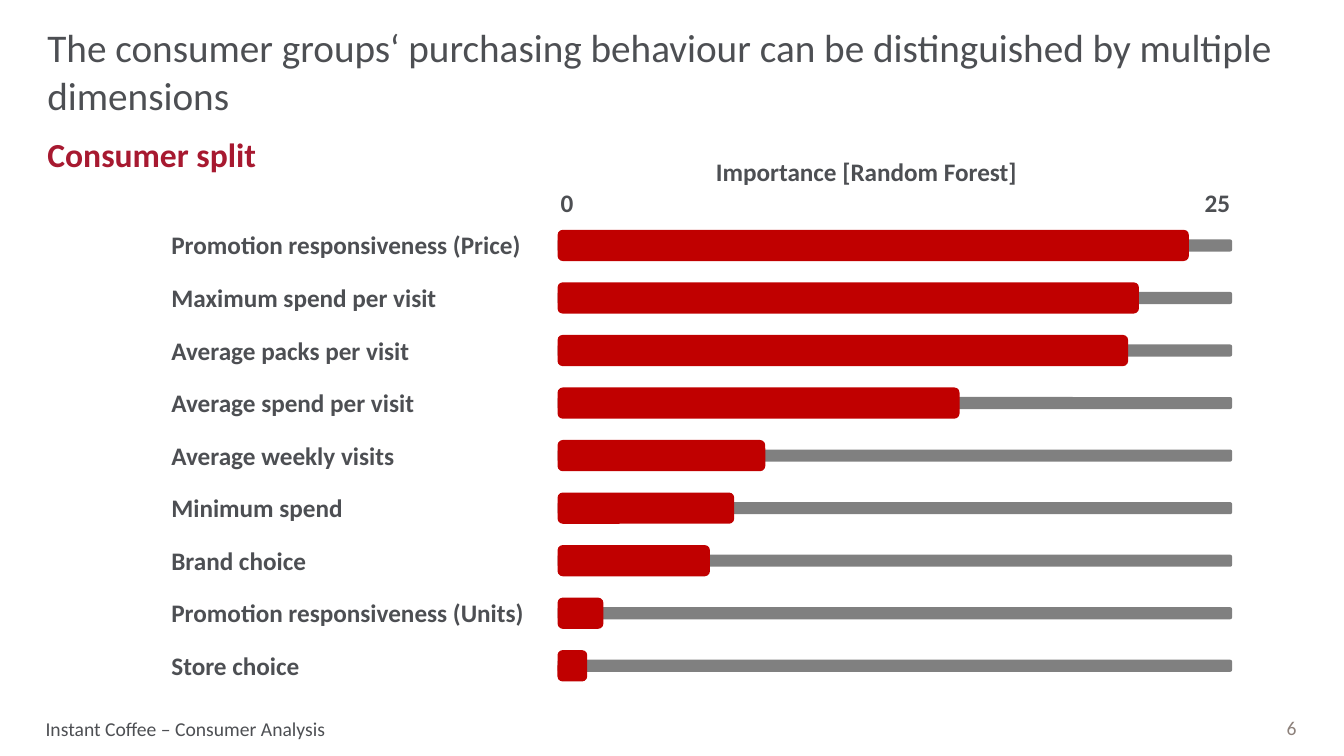
from pptx import Presentation
from pptx.dml.color import RGBColor
from pptx.enum.shapes import MSO_SHAPE as Shape
from pptx.enum.text import MSO_ANCHOR as Anchor, PP_ALIGN as Align
from pptx.util import Inches, Pt

FONT = "Calibri"
TEXT, ACCENT, PAGE = "4D4F53", "A71930", "8D817B"
TRACK, BAR = "808080", "C00000"
SCALE_MAX = 25
LABEL_INSETS = (0.27, 0.13)
IMPORTANCE = [
    ("Promotion responsiveness (Price)", 23.4),
    ("Maximum spend per visit", 21.55),
    ("Average packs per visit", 21.15),
    ("Average spend per visit", 14.9),
    ("Average weekly visits", 7.7),
    ("Minimum spend", 6.55),
    ("Brand choice", 5.65),
    ("Promotion responsiveness (Units)", 1.7),
    ("Store choice", 1.1),
]


def color(hex_string):
    return RGBColor.from_string(hex_string)


def add_text(slide, box, text, size, fill=TEXT, bold=False, align=Align.LEFT,
             anchor=Anchor.TOP, insets=(0, 0)):
    shape = slide.shapes.add_textbox(*map(Inches, box))
    frame = shape.text_frame
    frame.word_wrap = True
    frame.vertical_anchor = anchor
    frame.margin_left = frame.margin_right = Inches(insets[0])
    frame.margin_top = frame.margin_bottom = Inches(insets[1])
    paragraph = frame.paragraphs[0]
    paragraph.alignment = align
    run = paragraph.add_run()
    run.text = text
    run.font.name = FONT
    run.font.size = Pt(size)
    run.font.bold = bold
    run.font.color.rgb = color(fill)


def add_label(slide, box, text, align=Align.LEFT):
    add_text(slide, box, text, 18, bold=True, align=align, insets=LABEL_INSETS)


def add_bar(slide, box, fill):
    shape = slide.shapes.add_shape(Shape.ROUNDED_RECTANGLE, *map(Inches, box))
    shape.shadow.inherit = False
    shape.fill.solid()
    shape.fill.fore_color.rgb = color(fill)
    shape.line.fill.background()


def add_heading(slide, left, top, width):
    add_text(slide, (left, top, width, 0.96),
             "The consumer groups‘ purchasing behaviour can be distinguished "
             "by multiple dimensions", 28, anchor=Anchor.BOTTOM)
    add_text(slide, (left, top + 1.12, width, 0.37), "Consumer split", 24,
             ACCENT, bold=True)


def add_scale(slide, left, top, width):
    """Axis title with the two ends of the scale below it."""
    add_label(slide, (left + 1.3, top, 4.1, 0.57), "Importance [Random Forest]")
    add_label(slide, (left - 0.24, top + 0.31, 1.21, 0.57), "0")
    add_label(slide, (left + width - 0.96, top + 0.31, 1.21, 0.57),
              str(SCALE_MAX), Align.RIGHT)


def add_importance_rows(slide, left, top, width, height):
    label_width, bar_height, track_height = 4.1, 0.31, 0.12
    track_left, track_width = left + label_width, width - label_width
    pitch = (height - bar_height) / (len(IMPORTANCE) - 1)
    for index, (name, value) in enumerate(IMPORTANCE):
        row_top = top + index * pitch
        # Grey track, red bar, then the dimension's name
        add_bar(slide, (track_left, row_top + (bar_height - track_height) / 2,
                        track_width, track_height), TRACK)
        add_bar(slide, (track_left, row_top,
                        track_width * value / SCALE_MAX, bar_height), BAR)
        add_label(slide, (left, row_top - 0.13, label_width, 0.57), name)


def add_footer(slide, top):
    add_text(slide, (-0.4, top, 4.48, 0.41),
             "Instant Coffee – Consumer Analysis", 14, align=Align.CENTER,
             anchor=Anchor.MIDDLE, insets=(0.1, 0.05))
    add_text(slide, (12.35, top + 0.09, 0.51, 0.23), "6", 14, PAGE,
             align=Align.RIGHT, anchor=Anchor.BOTTOM)


def main():
    presentation = Presentation()
    presentation.slide_width = Inches(13.33)
    presentation.slide_height = Inches(7.5)
    slide = presentation.slides.add_slide(presentation.slide_layouts[6])
    add_footer(slide, 7.02)
    add_heading(slide, 0.47, 0.21, 12.39)
    add_importance_rows(slide, 1.43, 2.28, 10.79, 4.48)
    add_scale(slide, 5.53, 1.42, 6.69)
    presentation.save("out.pptx")


if __name__ == "__main__":
    main()
